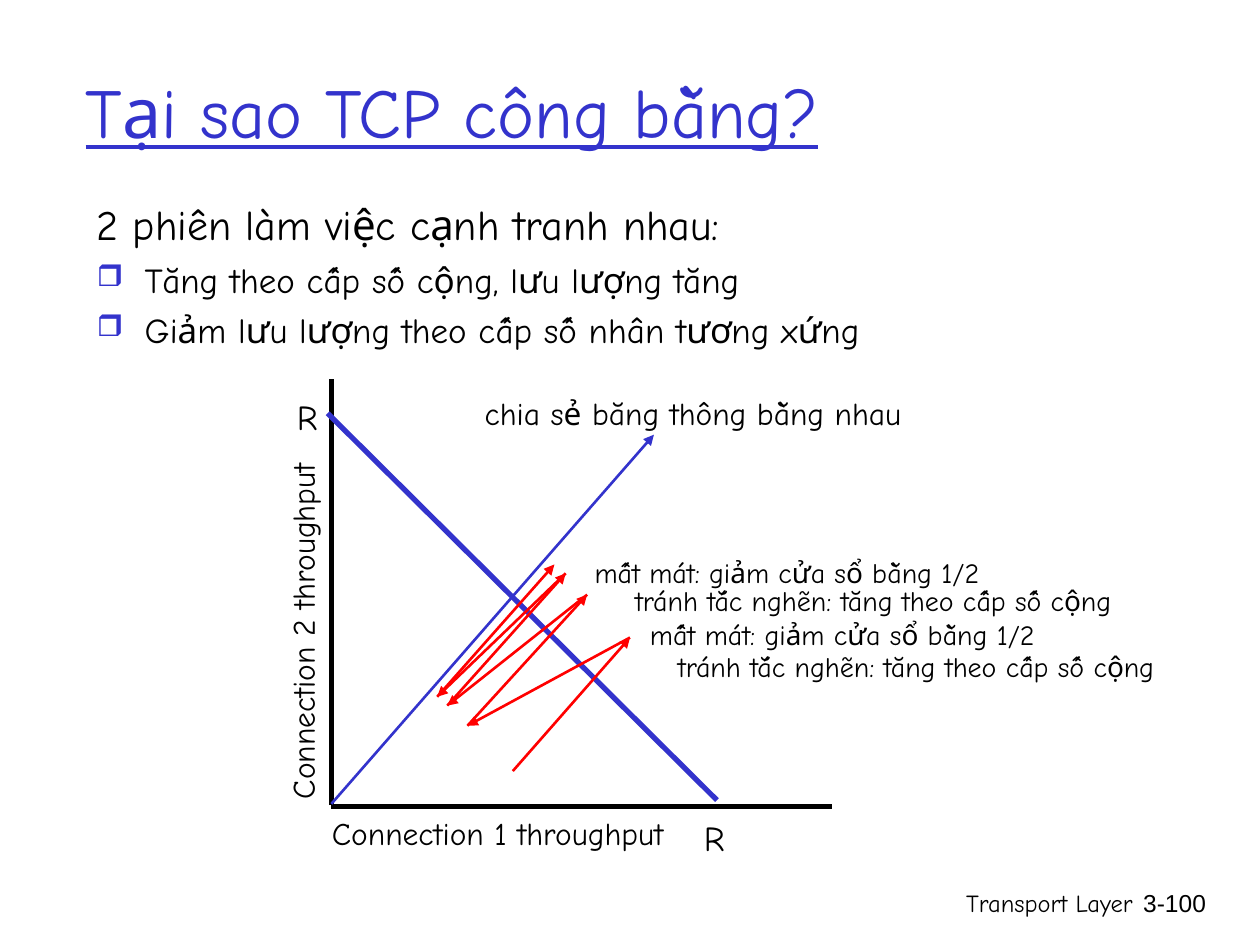
from dataclasses import dataclass
from itertools import pairwise

from lxml import etree
from pptx import Presentation
from pptx.dml.color import RGBColor
from pptx.enum.shapes import MSO_CONNECTOR
from pptx.enum.text import MSO_ANCHOR, MSO_AUTO_SIZE, PP_ALIGN
from pptx.oxml.ns import qn
from pptx.util import Inches, Pt

LEFT, MID, RIGHT = PP_ALIGN.LEFT, PP_ALIGN.CENTER, PP_ALIGN.RIGHT
STRAIGHT = MSO_CONNECTOR.STRAIGHT
CENTER = MSO_ANCHOR.MIDDLE
FIXED = MSO_AUTO_SIZE.NONE
HAND = "Comic Neue"
COLORS = {"ink": "000000", "blue": "3333CC", "red": "FF0000"}

Point = tuple[float, float]


@dataclass
class Label:
    text: str
    box: tuple[float, float, float, float]
    size: int = 18
    align: PP_ALIGN = MID
    font: str = HAND
    turn: int = 0
    wrap: bool = True


@dataclass
class Line:
    start: Point
    end: Point
    color: str
    width: float = 1.5
    arrow: bool = False


LOSS = "mất mát: giảm cửa sổ bằng 1/2"
GROW = "tránh tắc nghẽn: tăng theo cấp số cộng"

LABELS = [
    Label("Transport Layer", (5.92, 7, 3.17, 0.5), 14, RIGHT),
    Label("3-100", (8.93, 7, 0.74, 0.5), 14, RIGHT, "Arial"),
    Label("R", (2.22, 3.09, 0.44, 0.44), 20),
    Label("R", (5.45, 6.43, 0.44, 0.44), 20),
    Label("chia sẻ băng thông bằng nhau", (3.56, 3.08, 3.88, 0.4)),
    Label("Connection 1 throughput", (2.01, 6.41, 3.88, 0.4)),
    Label("Connection 2 throughput", (0.46, 4.81, 3.88, 0.4), turn=270),
    Label(GROW, (4.79, 5.11, 4.96, 0.37), 16),
    Label(LOSS, (5.06, 4.85, 3.25, 0.37), 16, wrap=False),
    Label(GROW, (4.45, 4.58, 4.96, 0.37), 16),
    Label(LOSS, (4.62, 4.36, 3.25, 0.37), 16, wrap=False),
]

AXES = [
    Line((2.63, 6.4), (6.6, 6.4), "ink", 3),
    Line((2.63, 6.39), (2.63, 3.01), "ink", 3),
    Line((2.63, 6.38), (5.19, 3.45), "blue", arrow=True),
    Line((2.6, 3.28), (5.69, 6.35), "blue", 3),
]

ZIGZAG = [
    (4.07, 6.12), (5, 5.06), (3.71, 5.76), (4.66, 4.72),
    (3.55, 5.6), (4.49, 4.55), (3.47, 5.53), (4.4, 4.48),
]

POINTS = [
    "Tăng theo cấp số cộng, lưu lượng tăng",
    "Giảm lưu lượng theo cấp số nhân tương xứng",
]


def put_text(para, text: str, *, size: int, font: str = HAND,
             color: str = "ink", align: PP_ALIGN = LEFT,
             under: bool = False, before: float = 0) -> None:
    para.alignment = align
    para.space_before = Pt(before)
    run = para.add_run()
    run.text = text
    run.font.size = Pt(size)
    run.font.name = font
    run.font.underline = under
    run.font.color.rgb = RGBColor.from_string(COLORS[color])


def add_box(slide, box: tuple[float, float, float, float]):
    return slide.shapes.add_textbox(*map(Inches, box))


def add_label(slide, label: Label) -> None:
    shape = add_box(slide, label.box)
    shape.rotation = label.turn
    frame = shape.text_frame
    frame.word_wrap = label.wrap
    put_text(frame.paragraphs[0], label.text, size=label.size,
             font=label.font, align=label.align)


def add_line(slide, line: Line) -> None:
    ends = map(Inches, line.start + line.end)
    shape = slide.shapes.add_connector(STRAIGHT, *ends)
    shape.line.color.rgb = RGBColor.from_string(COLORS[line.color])
    shape.line.width = Pt(line.width)
    if line.arrow:
        stroke = shape.line._get_or_add_ln()
        etree.SubElement(stroke, qn("a:tailEnd"), type="triangle")
    etree.SubElement(shape._element.spPr, qn("a:effectLst"))


def add_bullet(para) -> None:
    props = para._p.get_or_add_pPr()
    props.set("marL", str(Inches(0.38)))
    props.set("indent", str(Inches(-0.38)))
    tint = etree.SubElement(props, qn("a:buClr"))
    etree.SubElement(tint, qn("a:srgbClr"), val=COLORS["blue"])
    etree.SubElement(props, qn("a:buSzPct"), val="85000")
    etree.SubElement(props, qn("a:buChar"), char="❒")


def add_title(slide) -> None:
    title = slide.shapes.title
    title.left, title.top = Inches(0.58), Inches(0.25)
    title.width, title.height = Inches(8.5), Inches(1.25)
    frame = title.text_frame
    frame.auto_size = FIXED
    frame.vertical_anchor = CENTER
    put_text(frame.paragraphs[0], "Tại sao TCP công bằng?", size=40,
             color="blue", under=True)


def add_body(slide) -> None:
    frame = add_box(slide, (0.67, 1.53, 9.08, 1.4)).text_frame
    frame.word_wrap = True
    put_text(frame.paragraphs[0], "2 phiên làm việc cạnh tranh nhau:",
             size=24, before=6)
    for point in POINTS:
        para = frame.add_paragraph()
        put_text(para, point, size=20, before=5)
        add_bullet(para)


def main() -> None:
    deck = Presentation()
    deck.slide_width, deck.slide_height = Inches(10), Inches(7.5)
    slide = deck.slides.add_slide(deck.slide_layouts[5])
    add_title(slide)
    add_body(slide)
    steps = [Line(a, b, "red", arrow=True) for a, b in pairwise(ZIGZAG)]
    for line in AXES + steps:
        add_line(slide, line)
    for label in LABELS:
        add_label(slide, label)
    deck.save("out.pptx")


if __name__ == "__main__":
    main()
